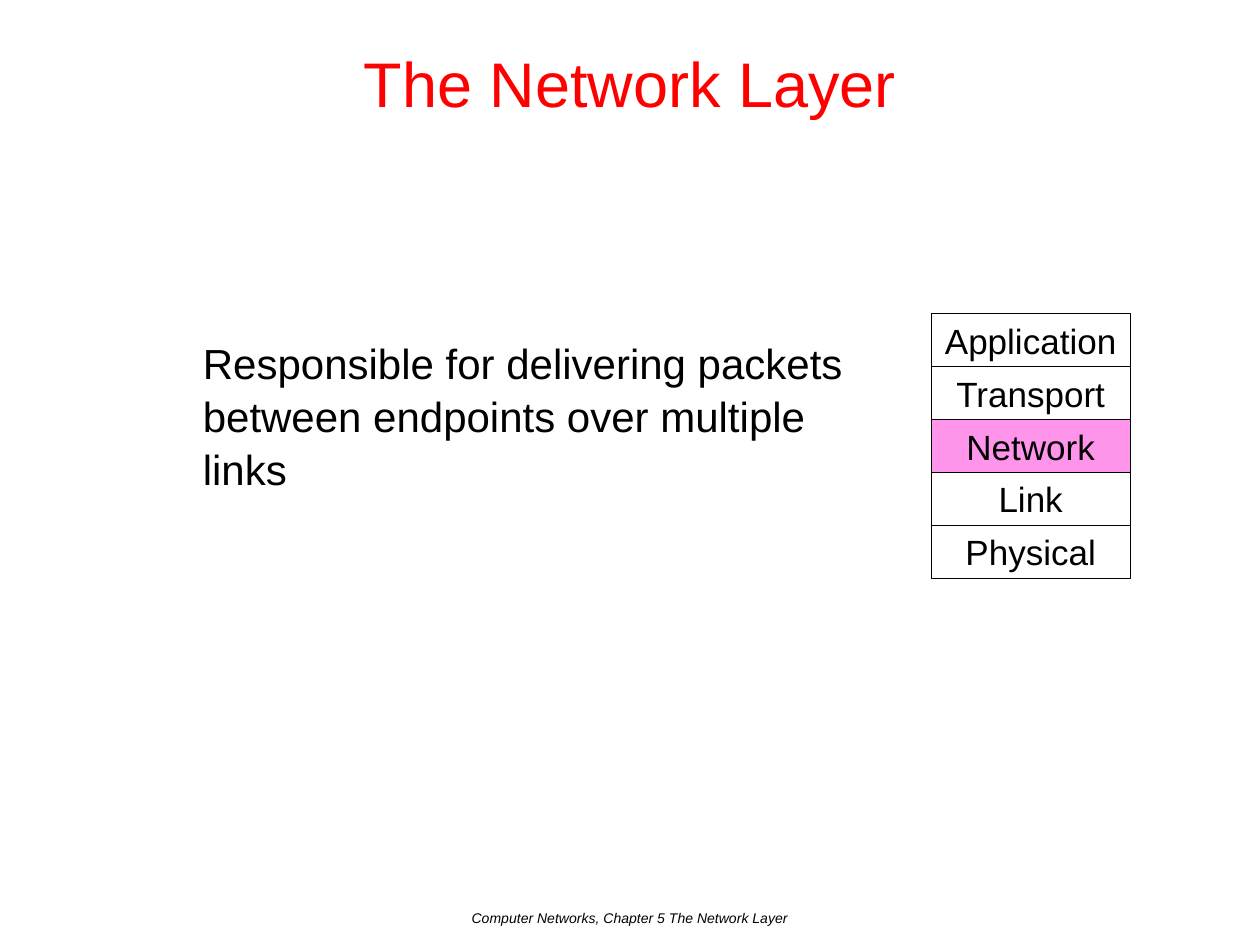
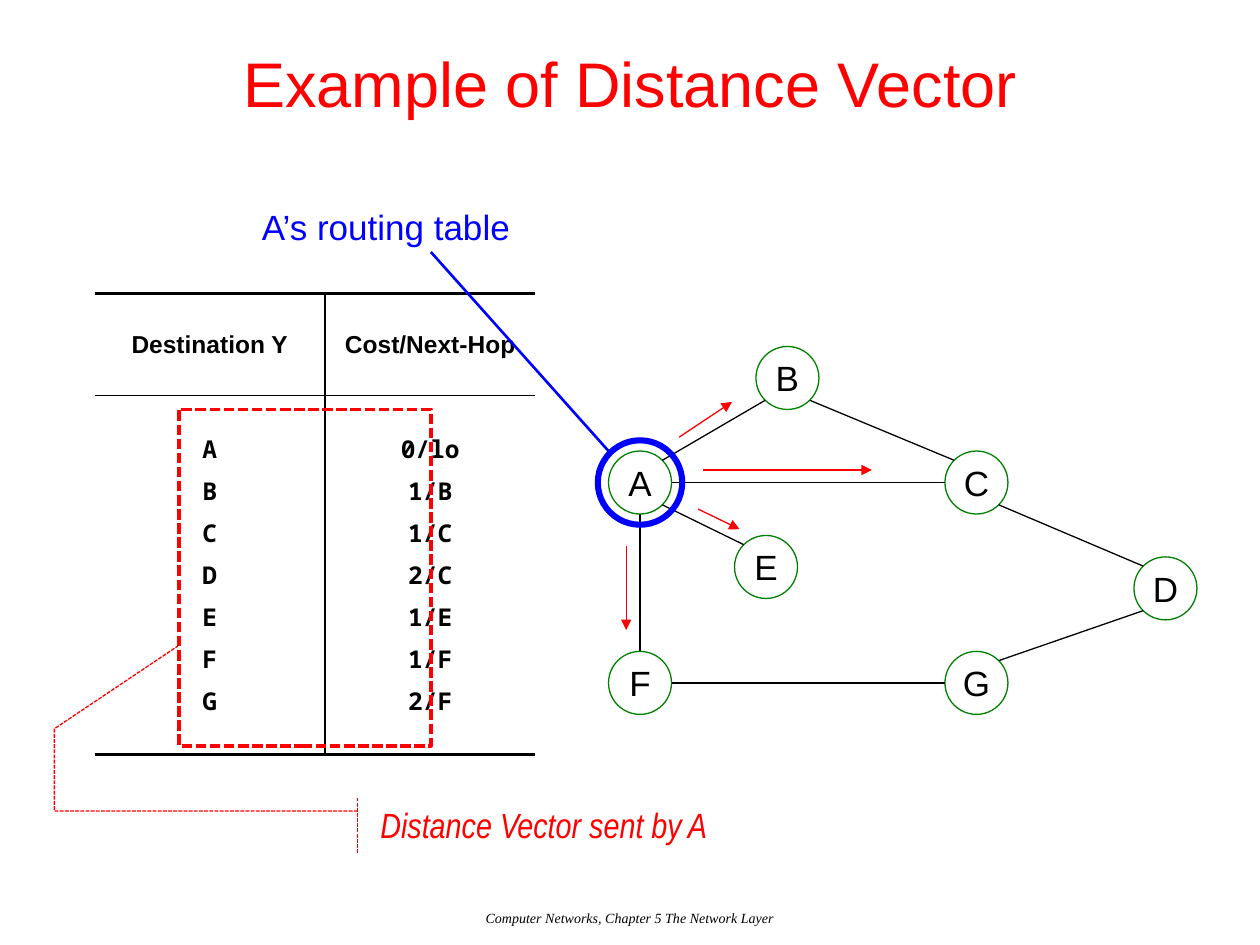
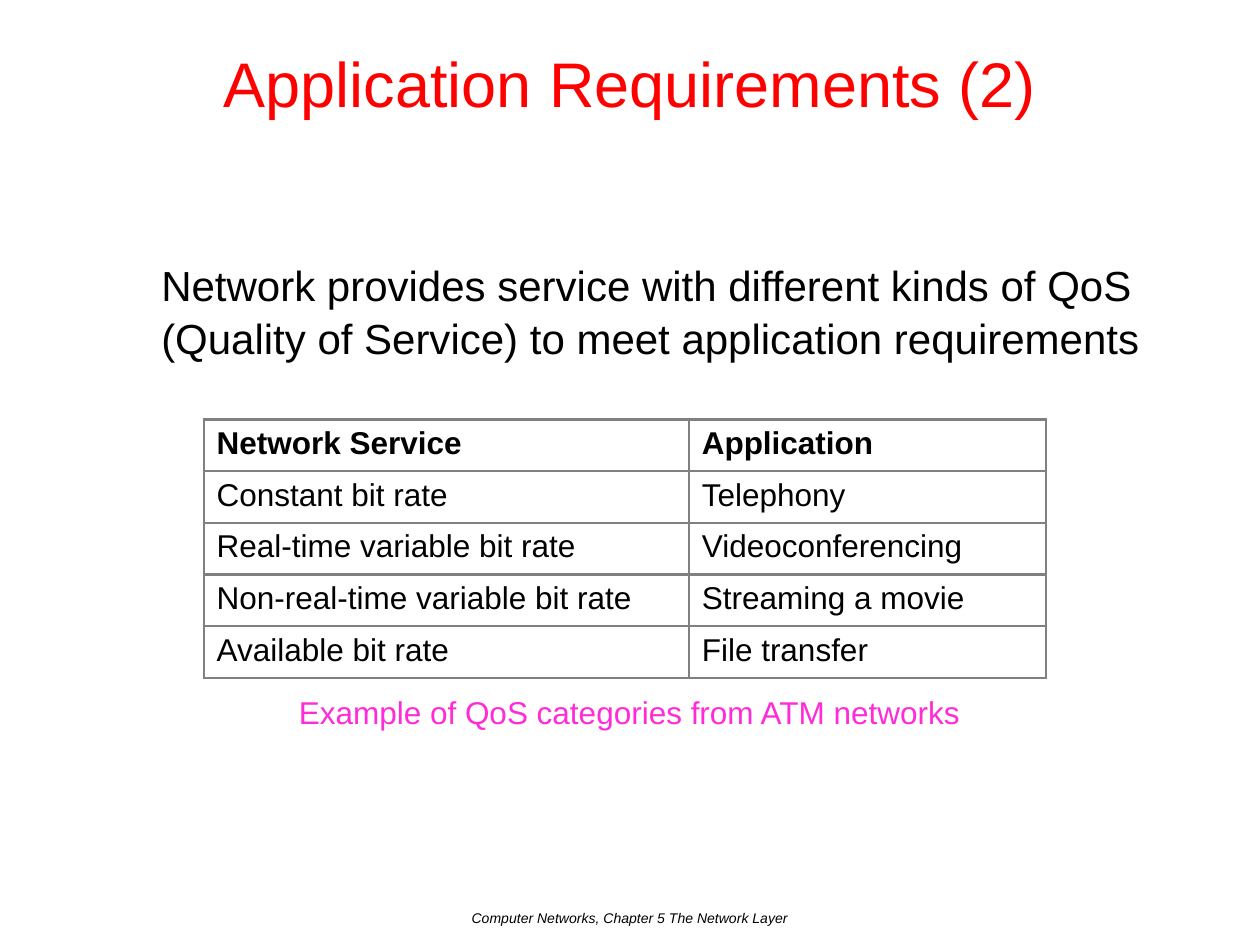
from math import sqrt

from lxml.etree import SubElement
from pptx import Presentation
from pptx.dml.color import RGBColor
from pptx.enum.dml import MSO_LINE
from pptx.enum.shapes import MSO_CONNECTOR, MSO_SHAPE
from pptx.enum.text import MSO_ANCHOR, MSO_AUTO_SIZE, PP_ALIGN
from pptx.oxml.ns import qn
from pptx.util import Inches, Pt

# Shared look
WIDTH, HEIGHT = 10, 7.5
COLORS = {"title": "FF0000", "text": "000000", "pink": "FF2BD8", "blue": "0000FF",
          "red": "FF0000", "node": "008000", "grid": "808080", "paper": "FFFFFF"}
FONT, MONO, NARROW, SERIF = "Arial", "Noto Sans Mono", "Arial Narrow", "Times New Roman"
FOOTER = "Computer Networks, Chapter 5 The Network Layer"
TITLE_ONLY, TITLE_AND_BODY = 5, 1

# Slide 1: protocol stack
STACK_INTRO = "Responsible for delivering packets between endpoints over multiple links"
LAYERS = ["Application", "Transport", "Network", "Link", "Physical"]
CURRENT_LAYER = "Network"
STACK_LEFT, STACK_TOP, LAYER_WIDTH, LAYER_HEIGHT = 7.39, 2.49, 1.58, 0.42

# Slide 2: routing table of A and the network, nodes by their centres
ROUTE_HEADS = ["Destination Y", "Cost/Next-Hop"]
ROUTES = [("A", "0/lo"), ("B", "1/B"), ("C", "1/C"), ("D", "2/C"),
          ("E", "1/E"), ("F", "1/F"), ("G", "2/F")]
NODES = {"B": (6.25, 3), "A": (5.08, 3.83), "C": (7.75, 3.83), "D": (9.25, 4.67),
         "E": (6.08, 4.5), "F": (5.08, 5.42), "G": (7.75, 5.42)}
EDGES = ["AB", "BC", "DC", "AE", "AF", "FG", "GD", "AC"]
NODE_RADIUS, RING_RADIUS = 0.25, 0.335
VECTOR_ARROWS = [((5.39, 3.47), (5.81, 3.19)), ((5.58, 3.73), (6.92, 3.73)),
                 ((5.54, 4.04), (5.87, 4.2)), ((4.97, 4.33), (4.97, 5))]
CALLOUT_POINTS = [0.245, -0.02, 0.245, -0.61, -1.24, -0.61, -2.73, -0.37]

# Slide 3: service categories
QOS_INTRO = ("Network provides service with different kinds of QoS "
             "(Quality of Service) to meet application requirements")
QOS_ROWS = [("Network Service", "Application"),
            ("Constant bit rate", "Telephony"),
            ("Real-time variable bit rate", "Videoconferencing"),
            ("Non-real-time variable bit rate", "Streaming a movie"),
            ("Available bit rate", "File transfer")]
QOS_CAPTION = "Example of QoS categories from ATM networks"


def write(frame, text, size=20, color="text", font=FONT, bold=False, italic=False,
          align=PP_ALIGN.LEFT, gap=0, spacing=None, bullet=True):
    """Write one paragraph per line of text, with gap points between them."""
    for number, line in enumerate(text.split("\n")):
        para = frame.add_paragraph() if number else frame.paragraphs[0]
        if not bullet:
            settings = para._p.get_or_add_pPr()
            settings.set("marL", "0")
            settings.set("indent", "0")
            SubElement(settings, qn("a:buNone"))
        para.alignment = align
        para.space_before = Pt(gap if number else 0)
        if spacing:
            para.line_spacing = spacing
        span = para.add_run()
        span.text = line
        span.font.size, span.font.name = Pt(size), font
        span.font.bold, span.font.italic = bold, italic
        span.font.color.rgb = RGBColor.from_string(COLORS[color])


def paint(target, holder, color, opacity=100):
    """Fill a shape or cell; holder is the element that keeps the fill."""
    target.fill.solid()
    target.fill.fore_color.rgb = RGBColor.from_string(COLORS[color])
    if opacity < 100:
        tone = holder.find(qn("a:solidFill")).find(qn("a:srgbClr"))
        SubElement(tone, qn("a:alpha"), val=str(opacity * 1000))


def stroke(shape, color, width=0.75, dash=None):
    shape.line.color.rgb = RGBColor.from_string(COLORS[color])
    shape.line.width = Pt(width)
    if dash:
        shape.line.dash_style = dash


def add_box(page, kind, left, top, width, height, line=None, line_width=0.75, dash=None):
    box = page.shapes.add_shape(kind, *map(Inches, (left, top, width, height)))
    box.shadow.inherit = False
    box.fill.background()
    if line:
        stroke(box, line, line_width, dash)
    else:
        box.line.fill.background()
    return box


def add_circle(page, center, radius, **line):
    x, y = center
    return add_box(page, MSO_SHAPE.OVAL, x - radius, y - radius, 2 * radius, 2 * radius, **line)


def add_line(page, start, end, color="text", width=0.75, arrow=False):
    line = page.shapes.add_connector(MSO_CONNECTOR.STRAIGHT, *map(Inches, (*start, *end)))
    stroke(line, color, width)
    if arrow:
        SubElement(line.line._get_or_add_ln(), qn("a:tailEnd"), type="triangle")
    SubElement(line._element.spPr, qn("a:effectLst"))


def add_text(page, left, top, width, height, text, **style):
    box = page.shapes.add_textbox(*map(Inches, (left, top, width, height)))
    box.text_frame.word_wrap = True
    write(box.text_frame, text, **style)


def add_grid(page, left, top, columns, rows):
    """Add a plain table with the given column widths and row heights."""
    table = page.shapes.add_table(len(rows), len(columns), *map(
        Inches, (left, top, sum(columns), sum(rows)))).table
    table.first_row = table.horz_banding = False
    for column, width in zip(table.columns, columns):
        column.width = Inches(width)
    for row, height in zip(table.rows, rows):
        row.height = Inches(height)
    return table


def add_borders(cell, color, **widths):
    """Draw the sides L, R, T and B that have a width; clear the others."""
    settings = cell._tc.get_or_add_tcPr()
    for side in "LRTB":
        edge = SubElement(settings, qn(f"a:ln{side}"), w=str(Pt(widths.get(side, 0))))
        if side in widths:
            SubElement(SubElement(edge, qn("a:solidFill")), qn("a:srgbClr"), val=COLORS[color])
        else:
            SubElement(edge, qn("a:noFill"))


def place(holder, left, top, width, height):
    holder.left, holder.top, holder.width, holder.height = map(
        Inches, (left, top, width, height))
    holder.text_frame.auto_size = MSO_AUTO_SIZE.NONE
    return holder.text_frame


def add_page(deck, title, layout=TITLE_ONLY, footer_font=FONT):
    page = deck.slides.add_slide(deck.slide_layouts[layout])
    frame = place(page.shapes.title, 0, 0, WIDTH, HEIGHT / 6)
    frame.vertical_anchor = MSO_ANCHOR.MIDDLE
    write(frame, title, size=36, color="title", align=PP_ALIGN.CENTER, spacing=1.1)
    add_text(page, 0, 7.17, WIDTH, 0.33, FOOTER, size=8, font=footer_font,
             italic=True, align=PP_ALIGN.CENTER)
    return page


def add_body(page, text, *area):
    write(place(page.placeholders[1], *area), text, size=24, spacing=1.05, bullet=False)


def edge_point(node, other):
    """Point on a node's circle, at a side or a diagonal, towards the other node."""
    (x, y), (to_x, to_y) = NODES[node], NODES[other]
    step_x, step_y = (to_x > x) - (to_x < x), (to_y > y) - (to_y < y)
    reach = NODE_RADIUS / sqrt(abs(step_x) + abs(step_y))
    return x + reach * step_x, y + reach * step_y


def build_stack(deck):
    page = add_page(deck, "The Network Layer", TITLE_AND_BODY)
    add_body(page, STACK_INTRO, 1.51, 2.61, 5.55, 4.4)
    for number, layer in enumerate(LAYERS):
        box = add_box(page, MSO_SHAPE.RECTANGLE, STACK_LEFT, STACK_TOP + number * LAYER_HEIGHT,
                      LAYER_WIDTH, LAYER_HEIGHT, line="text")
        if layer == CURRENT_LAYER:
            paint(box, box._element.spPr, "pink", opacity=50)
        box.text_frame.word_wrap = False
        write(box.text_frame, layer, align=PP_ALIGN.CENTER)


def build_distance_vector(deck):
    page = add_page(deck, "Example of Distance Vector", footer_font=SERIF)

    # Routing table
    table = add_grid(page, 0.75, 2.33, [1.83, 1.67], [0.81, 2.85])
    for column, head in enumerate(ROUTE_HEADS):
        entries = "\n".join(route[column] for route in ROUTES)
        inner = {"L": 1} if column else {"R": 1}
        for row, (text, font, top, bottom) in enumerate(
                [(head, FONT, 2.25, 1), (entries, MONO, 1, 2.25)]):
            cell = table.cell(row, column)
            add_borders(cell, "text", T=top, B=bottom, **inner)
            paint(cell, cell._tc.tcPr, "paper", opacity=50)
            cell.vertical_anchor = MSO_ANCHOR.MIDDLE
            write(cell.text_frame, text, size=14, font=font, bold=True,
                  align=PP_ALIGN.CENTER, gap=4.9)

    # Network
    for name, center in NODES.items():
        node = add_circle(page, center, NODE_RADIUS, line="node")
        node.text_frame.word_wrap = False
        write(node.text_frame, name, align=PP_ALIGN.CENTER)
    for start, end in EDGES:
        add_line(page, edge_point(start, end), edge_point(end, start))

    # Node A and its table
    add_circle(page, NODES["A"], RING_RADIUS, line="blue", line_width=3.5)
    add_line(page, (4.83, 3.58), (3.42, 2), "blue", 1.5)
    add_text(page, 1.98, 1.58, 2.27, 0.44, "A’s routing table", color="blue")

    # Vector that A sends
    add_box(page, MSO_SHAPE.RECTANGLE, 1.42, 3.25, 2, 2.67,
            line="red", line_width=2, dash=MSO_LINE.SQUARE_DOT)
    callout = add_box(page, MSO_SHAPE.LINE_CALLOUT_3_ACCENT_BAR, 2.92, 6.33, 4.08, 0.44,
                      line="red", dash=MSO_LINE.SQUARE_DOT)
    for number, share in enumerate(CALLOUT_POINTS):
        callout.adjustments[number] = share
    callout.text_frame.vertical_anchor = MSO_ANCHOR.TOP
    write(callout.text_frame, "Distance Vector sent by A", color="red",
          font=NARROW, italic=True)
    for start, end in VECTOR_ARROWS:
        add_line(page, start, end, "red", arrow=True)


def build_requirements(deck):
    page = add_page(deck, "Application Requirements (2)", TITLE_AND_BODY)
    add_body(page, QOS_INTRO, 1.18, 1.99, 8, 4.4)
    table = add_grid(page, 1.62, 3.33, [3.85, 2.83], [0.41] * len(QOS_ROWS))
    for row, texts in enumerate(QOS_ROWS):
        for column, text in enumerate(texts):
            cell = table.cell(row, column)
            add_borders(cell, "grid", L=1.5, R=1.5, T=1.5, B=1.5)
            paint(cell, cell._tc.tcPr, "paper")
            write(cell.text_frame, text, size=18, bold=row == 0)

    caption = add_box(page, MSO_SHAPE.RECTANGLE, 2.29, 5.5, 5.41, 0.3)
    paint(caption, caption._element.spPr, "paper")
    frame = caption.text_frame
    frame.margin_left = frame.margin_right = frame.margin_top = frame.margin_bottom = 0
    write(frame, QOS_CAPTION, size=18, color="pink", align=PP_ALIGN.CENTER)


def main():
    deck = Presentation()
    deck.slide_width, deck.slide_height = Inches(WIDTH), Inches(HEIGHT)
    build_stack(deck)
    build_distance_vector(deck)
    build_requirements(deck)
    deck.save("out.pptx")


if __name__ == "__main__":
    main()
